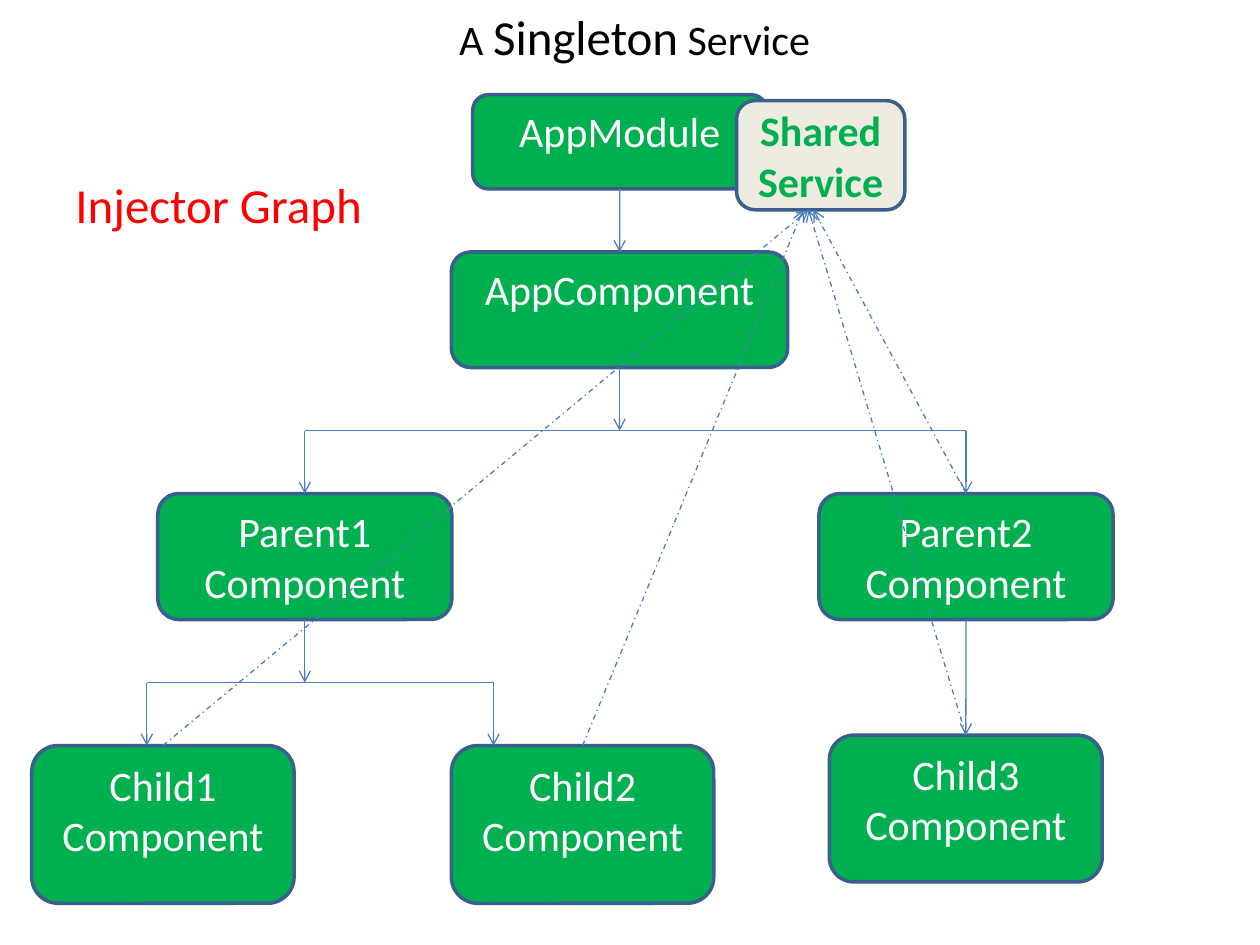
from dataclasses import dataclass

from lxml.etree import SubElement
from pptx import Presentation
from pptx.dml.color import RGBColor
from pptx.enum.dml import MSO_LINE_DASH_STYLE as Dash
from pptx.enum.shapes import MSO_CONNECTOR_TYPE as Connector, MSO_SHAPE as Shape
from pptx.enum.text import MSO_ANCHOR as Anchor, MSO_AUTO_SIZE as AutoSize, PP_ALIGN as Align
from pptx.oxml.ns import qn
from pptx.util import Cm, Pt

GREEN = RGBColor(0x00, 0xB0, 0x50)
CREAM = RGBColor(0xEE, 0xEC, 0xE1)
WHITE = RGBColor(0xFF, 0xFF, 0xFF)
BLACK = RGBColor(0x00, 0x00, 0x00)
RED = RGBColor(0xFF, 0x00, 0x00)
OUTLINE = RGBColor(0x3A, 0x5F, 0x8C)
ARROW = RGBColor(0x4B, 0x7E, 0xBC)
FONT = "Calibri"
SLIDE_WIDTH, SLIDE_HEIGHT = 25.4, 19.05
BRANCH_DROP = 1.27


@dataclass(frozen=True)
class Box:
    """A rounded box, measured in centimetres."""

    label: str
    left: float
    top: float
    width: float
    height: float
    fill: RGBColor = GREEN
    color: RGBColor = WHITE
    bold: bool = False
    anchor: Anchor = Anchor.TOP

    @property
    def center(self) -> float:
        """Return the horizontal middle."""
        return self.left + self.width / 2

    @property
    def bottom(self) -> float:
        """Return the lower edge."""
        return self.top + self.height


APP_MODULE = Box("AppModule", 9.53, 1.91, 5.93, 1.9)
APP_COMPONENT = Box("AppComponent", 9.1, 5.08, 6.78, 2.33)
PARENT_1 = Box("Parent1 Component", 3.18, 9.95, 5.93, 2.54)
PARENT_2 = Box("Parent2 Component", 16.51, 9.95, 5.93, 2.54)
CHILD_1 = Box("Child1 Component", 0.64, 15.03, 5.29, 3.18)
CHILD_2 = Box("Child2 Component", 9.1, 15.03, 5.29, 3.18)
CHILD_3 = Box("Child3 Component", 16.72, 14.82, 5.5, 2.96)
SERVICE = Box("Shared Service", 14.85, 2.03, 3.39, 2.2, CREAM, GREEN, True, Anchor.MIDDLE)
BOXES = (APP_COMPONENT, PARENT_1, CHILD_1, PARENT_2, CHILD_3, CHILD_2, APP_MODULE, SERVICE)


def write_text(frame, *runs: tuple[str, int], color: RGBColor, bold: bool = False,
               align: Align = Align.CENTER, anchor: Anchor = Anchor.TOP,
               wrap: bool = True) -> None:
    """Write runs of text and point size into one paragraph."""
    frame.word_wrap = wrap
    frame.vertical_anchor = anchor
    paragraph = frame.paragraphs[0]
    paragraph.alignment = align
    for text, size in runs:
        run = paragraph.add_run()
        run.text = text
        run.font.name = FONT
        run.font.size = Pt(size)
        run.font.bold = bold
        run.font.color.rgb = color


def draw_box(slide, box: Box) -> None:
    """Draw a labelled rounded box."""
    shape = slide.shapes.add_shape(Shape.ROUNDED_RECTANGLE, Cm(box.left), Cm(box.top),
                                   Cm(box.width), Cm(box.height))
    shape.shadow.inherit = False
    shape.fill.solid()
    shape.fill.fore_color.rgb = box.fill
    shape.line.color.rgb = OUTLINE
    shape.line.width = Pt(2)
    write_text(shape.text_frame, (box.label, 24), color=box.color, bold=box.bold,
               anchor=box.anchor)


def draw_line(slide, start: tuple[float, float], end: tuple[float, float],
              arrow: bool = True, dashed: bool = False) -> None:
    """Draw a thin line, with an open arrowhead at its end if wanted."""
    connector = slide.shapes.add_connector(Connector.STRAIGHT, *map(Cm, start + end))
    connector.line.color.rgb = ARROW
    connector.line.width = Pt(0.75)
    if dashed:
        connector.line.dash_style = Dash.DASH_DOT
    if arrow:
        SubElement(connector.line._get_or_add_ln(), qn("a:tailEnd"), type="arrow")
    SubElement(connector._element.spPr, qn("a:effectLst"))


def draw_branch(slide, parent: Box, left: float, right: float, child_top: float) -> None:
    """Draw a stem below a parent, a crossbar and an arrow down to each child."""
    bar = parent.bottom + BRANCH_DROP
    draw_line(slide, (parent.center, parent.bottom), (parent.center, bar))
    draw_line(slide, (left, bar), (right, bar), arrow=False)
    for position in (left, right):
        draw_line(slide, (position, bar), (position, child_top))


def draw_text(slide, left: float, top: float, width: float, *runs: tuple[str, int],
              **text_format) -> None:
    """Draw a text box that grows with its text."""
    frame = slide.shapes.add_textbox(Cm(left), Cm(top), Cm(width), Cm(1.45)).text_frame
    write_text(frame, *runs, **text_format)
    frame.auto_size = AutoSize.SHAPE_TO_FIT_TEXT


def main() -> None:
    """Build the injector graph slide."""
    presentation = Presentation()
    presentation.slide_width = Cm(SLIDE_WIDTH)
    presentation.slide_height = Cm(SLIDE_HEIGHT)
    slide = presentation.slides.add_slide(presentation.slide_layouts[6])

    for box in BOXES:
        draw_box(slide, box)

    for parent, child in ((APP_MODULE, APP_COMPONENT), (PARENT_2, CHILD_3)):
        draw_line(slide, (parent.center, parent.bottom), (child.center, child.top))
    draw_branch(slide, APP_COMPONENT, PARENT_1.center, PARENT_2.center, PARENT_1.top)
    draw_branch(slide, PARENT_1, 2.96, 9.95, CHILD_1.top)

    for user, end in ((CHILD_1, 16.3), (PARENT_2, 16.4), (CHILD_3, 16.3), (CHILD_2, 16.19)):
        draw_line(slide, (user.center, user.top), (end, SERVICE.bottom), dashed=True)

    draw_text(slide, 0, 0, SLIDE_WIDTH, (" A ", 24), ("Singleton", 28), (" Service", 24),
              color=BLACK)
    draw_text(slide, 1.27, 3.39, 6.35, ("Injector Graph", 28), color=RED,
              align=Align.LEFT, wrap=False)
    presentation.save("out.pptx")


if __name__ == "__main__":
    main()
